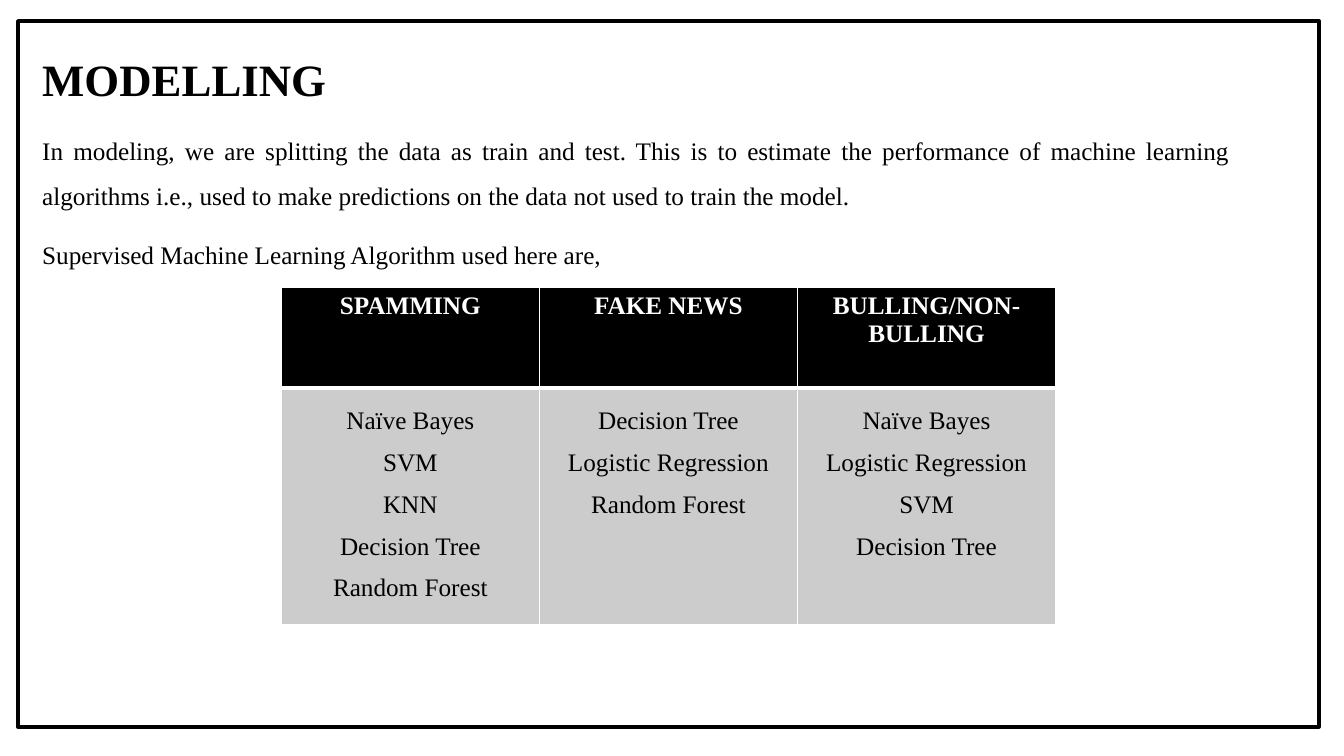
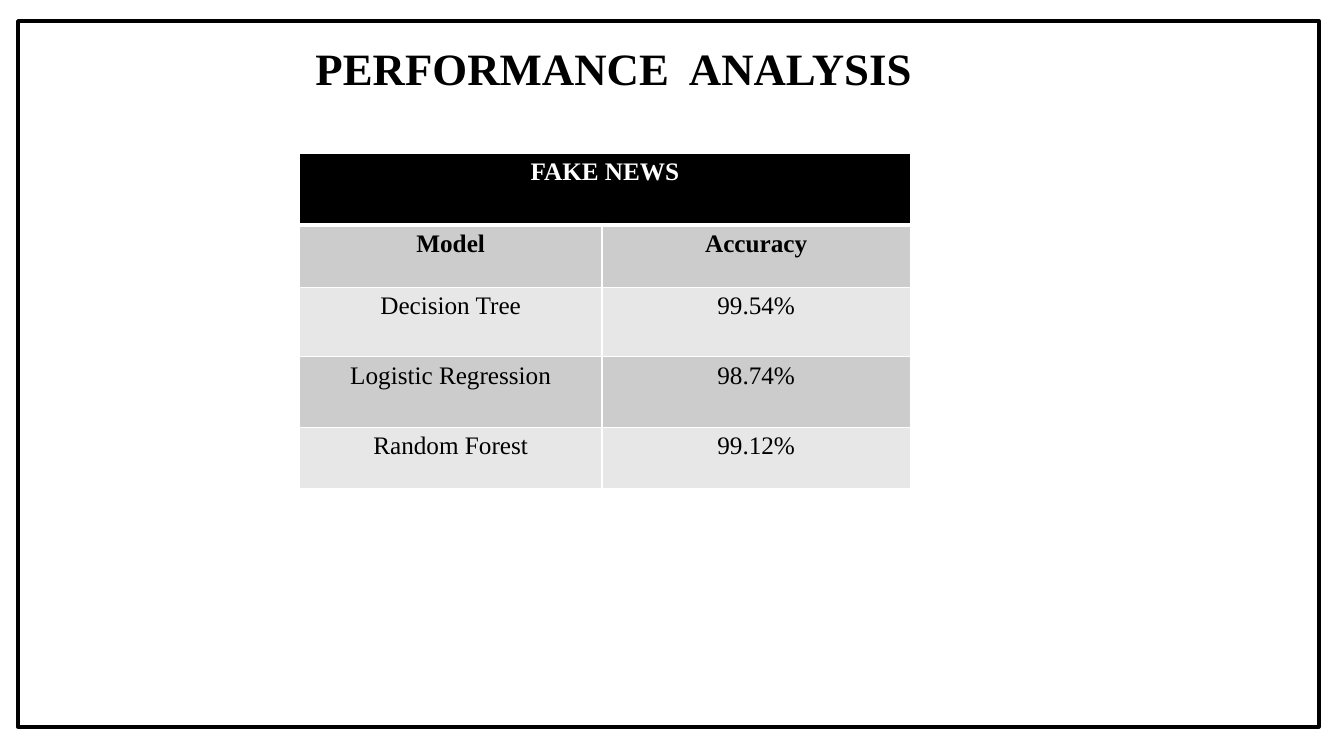
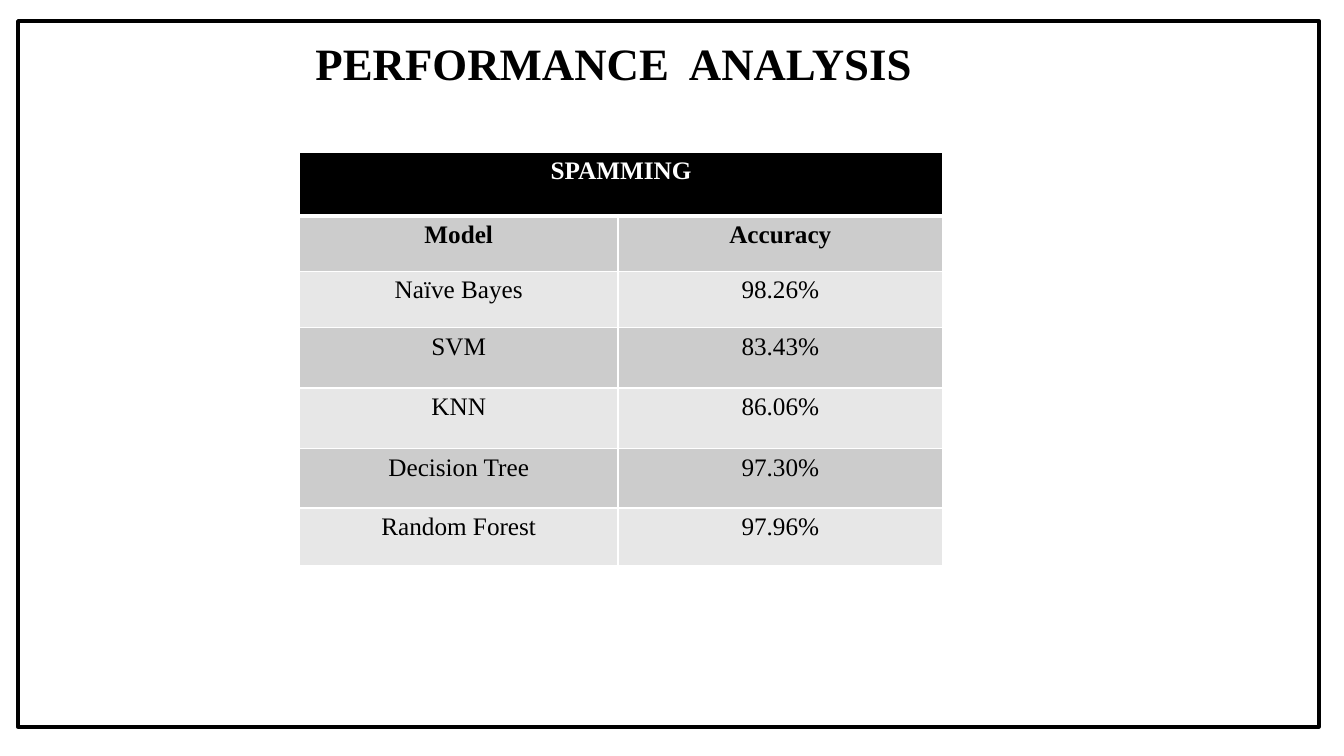
"""Build three slides on the models used and their accuracy."""
from lxml import etree
from pptx import Presentation
from pptx.dml.color import RGBColor
from pptx.enum.shapes import MSO_SHAPE
from pptx.enum.text import PP_ALIGN
from pptx.oxml.ns import qn
from pptx.util import Inches, Pt

RECTANGLE = MSO_SHAPE.RECTANGLE
CENTER, JUSTIFY = PP_ALIGN.CENTER, PP_ALIGN.JUSTIFY
BLACK = RGBColor(0x00, 0x00, 0x00)
WHITE = RGBColor(0xFF, 0xFF, 0xFF)
DARK_BAND = RGBColor(0xCC, 0xCC, 0xCC)
LIGHT_BAND = RGBColor(0xE7, 0xE7, 0xE7)
FONT = "Times New Roman"
TITLE_SIZE, BODY_SIZE = Pt(32), Pt(18)

presentation = Presentation()
presentation.slide_width = Inches(13.33)
presentation.slide_height = Inches(7.5)


def add_framed_slide(title, left, top, width, height, wrap):
    """Add a slide with the black frame and a titled text box."""
    slide = presentation.slides.add_slide(presentation.slide_layouts[6])
    frame = slide.shapes.add_shape(RECTANGLE, Inches(0.18), Inches(0.21), Inches(12.9), Inches(7))
    frame.shadow.inherit = False
    frame.fill.background()
    frame.line.color.rgb = BLACK
    frame.line.width = Pt(3)

    text_box = slide.shapes.add_textbox(Inches(left), Inches(top), Inches(width), Inches(height))
    text_frame = text_box.text_frame
    text_frame.word_wrap = wrap
    paragraph = text_frame.paragraphs[0]
    paragraph.text = title
    paragraph.font.name = FONT
    paragraph.font.size = TITLE_SIZE
    paragraph.font.bold = True
    paragraph.font.color.rgb = BLACK
    return slide, text_frame


def add_banded_table(slide, left, top, widths, heights, rows, bold_rows, body_spacing):
    """Add a table with a black header, grey bands and white borders."""
    shape = slide.shapes.add_table(len(rows), len(widths), Inches(left), Inches(top),
                                   Inches(sum(widths)), Inches(sum(heights)))
    table = shape.table
    for column, width in zip(table.columns, widths):
        column.width = Inches(width)
    for row_index, (height, texts) in enumerate(zip(heights, rows)):
        table.rows[row_index].height = Inches(height)
        is_header = row_index == 0
        fill_color = BLACK if is_header else (LIGHT_BAND, DARK_BAND)[row_index % 2]
        for column_index, text in enumerate(texts):
            cell = table.cell(row_index, column_index)
            cell.text = text
            cell.fill.solid()
            cell.fill.fore_color.rgb = fill_color
            for paragraph in cell.text_frame.paragraphs:
                paragraph.alignment = CENTER
                paragraph.line_spacing = 1.0 if is_header else body_spacing
                paragraph.font.name = FONT
                paragraph.font.size = BODY_SIZE
                paragraph.font.bold = row_index < bold_rows
                paragraph.font.color.rgb = WHITE if is_header else BLACK
            properties = cell._tc.get_or_add_tcPr()
            for position, side in enumerate(("lnL", "lnR", "lnT", "lnB")):
                under_header = (row_index, side) in ((0, "lnB"), (1, "lnT"))
                border = etree.Element(qn(f"a:{side}"), w=str(Pt(3 if under_header else 1)))
                solid_fill = etree.SubElement(border, qn("a:solidFill"))
                etree.SubElement(solid_fill, qn("a:srgbClr"), val=str(WHITE))
                properties.insert(position, border)
    return table


slide, text_frame = add_framed_slide("MODELLING", 0.32, 0.52, 11.98, 6.23, True)
text_frame.paragraphs[0].line_spacing = 0.9
for text in (
    "In modeling, we are splitting the data as train and test. This is to estimate the "
    "performance of machine learning algorithms i.e., used to make predictions on the data "
    "not used to train the model.",
    "Supervised Machine Learning Algorithm used here are,",
):
    paragraph = text_frame.add_paragraph()
    paragraph.text = text
    paragraph.alignment = JUSTIFY
    paragraph.line_spacing = 1.5
    paragraph.space_before = Pt(10)
    paragraph.font.name = FONT
    paragraph.font.size = BODY_SIZE
    paragraph.font.color.rgb = BLACK

algorithm_rows = [
    ("SPAMMING", "FAKE NEWS", "BULLING/NON-BULLING"),
    ("Naïve Bayes\nSVM\nKNN\nDecision Tree\nRandom Forest",
     "Decision Tree\nLogistic Regression\nRandom Forest",
     "Naïve Bayes\nLogistic Regression\nSVM\nDecision Tree"),
]
add_banded_table(slide, 2.79, 2.85, [2.56] * 3, [1, 2.35], algorithm_rows, 1, 1.5)

performance_slides = [
    ("FAKE NEWS", 0.36, 1.52, [3, 3.06], [0.71, 0.62, 0.69, 0.7, 0.61],
     [("Decision Tree", "99.54%"), ("Logistic Regression", "98.74%"),
      ("Random Forest", "99.12%")]),
    ("SPAMMING", 0.31, 1.51, [3.16, 3.22], [0.63, 0.55, 0.56, 0.6, 0.6, 0.59, 0.57],
     [("Naïve Bayes", "98.26%"), ("SVM", "83.43%"), ("KNN", "86.06%"),
      ("Decision Tree", "97.30%"), ("Random Forest", "97.96%")]),
]
for task, title_top, table_top, widths, heights, accuracies in performance_slides:
    slide, _ = add_framed_slide("PERFORMANCE  ANALYSIS", 3.03, title_top, 6.18, 0.64, False)
    accuracy_rows = [(task, ""), ("Model", "Accuracy"), *accuracies]
    table = add_banded_table(slide, 2.97, table_top, widths, heights, accuracy_rows, 2, 1.0)
    table.cell(0, 0).merge(table.cell(0, 1))

presentation.save("out.pptx")
